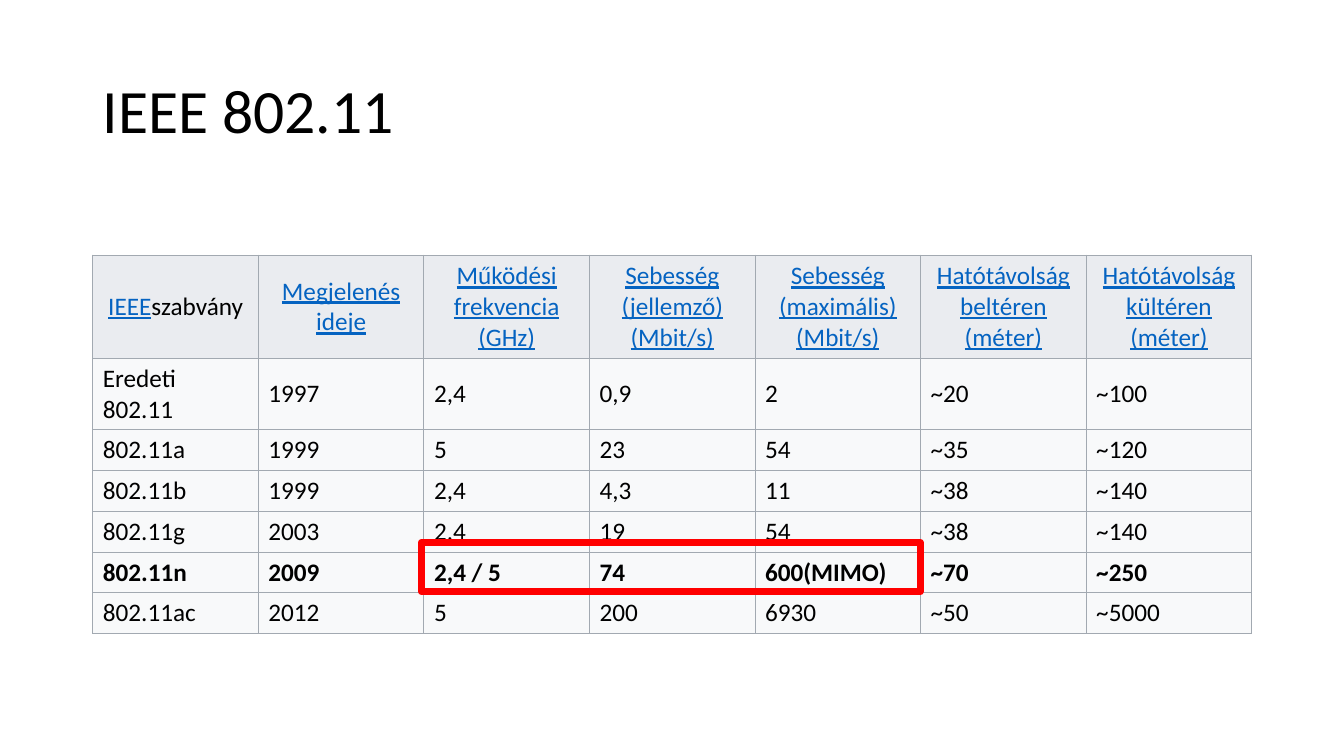
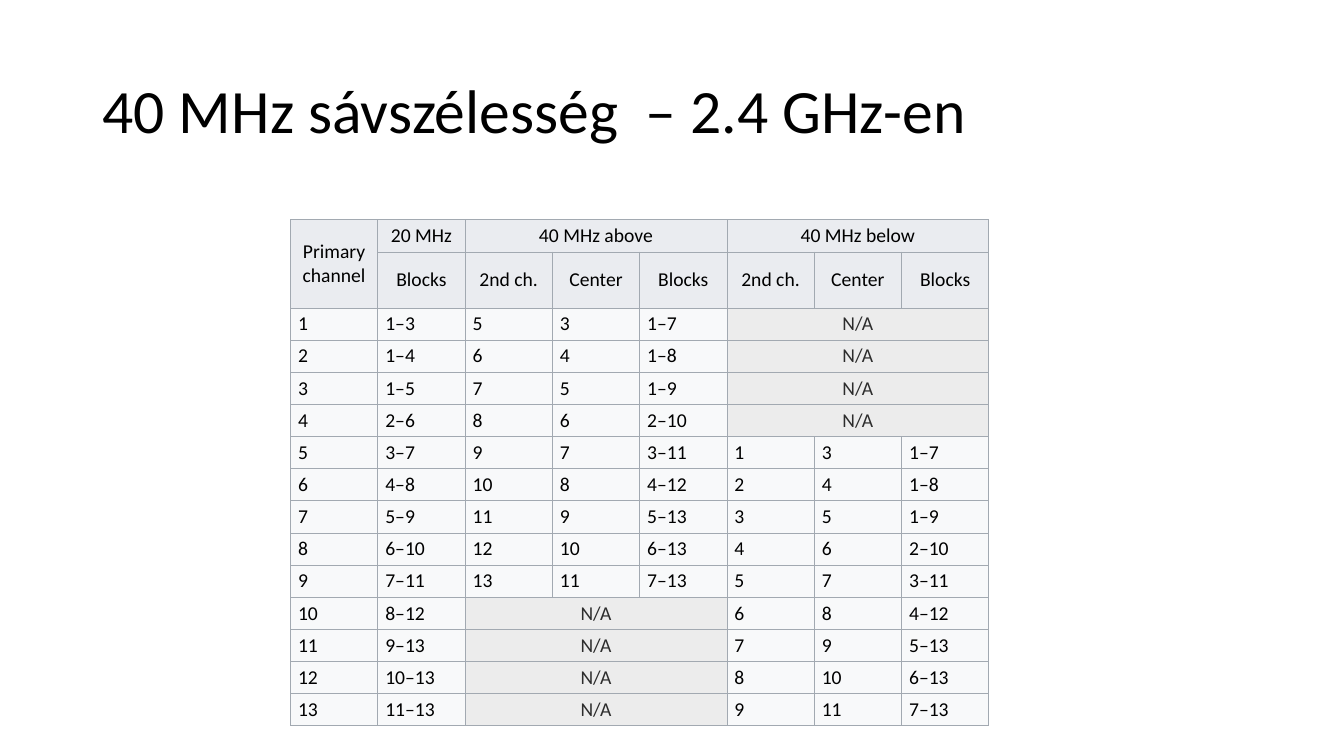
from lxml.etree import SubElement
from pptx import Presentation
from pptx.dml.color import RGBColor
from pptx.enum.shapes import MSO_SHAPE as Shape
from pptx.enum.text import MSO_ANCHOR as Anchor, PP_ALIGN as Align
from pptx.oxml.ns import qn
from pptx.util import Cm, Pt

# Shared look
rgb = RGBColor.from_string
FONT = "Calibri"
BLACK, LINK, MUTED, RED = "000000", "0563C1", "2C2C2C", "FF0000"
HEADER_FILL, BODY_FILL, EMPTY_FILL, BORDER = "EAECF0", "F8F9FA", "ECECEC", "A2A9B1"


def add_run(paragraph, text, size, color=BLACK, bold=False, underline=False):
    run = paragraph.add_run()
    run.text = text
    font = run.font
    font.name, font.size, font.bold, font.underline = FONT, Pt(size), bold, underline
    font.color.rgb = rgb(color)


def style_cell(cell, fill, centered=False):
    properties = cell._tc.get_or_add_tcPr()
    for side in ("a:lnL", "a:lnR", "a:lnT", "a:lnB"):
        line = SubElement(properties, qn(side), w=str(Pt(0.75)))
        SubElement(SubElement(line, qn("a:solidFill")), qn("a:srgbClr"), val=BORDER)
    cell.fill.solid()
    cell.fill.fore_color.rgb = rgb(fill)
    cell.vertical_anchor = Anchor.MIDDLE
    paragraph = cell.text_frame.paragraphs[0]
    paragraph.alignment = Align.CENTER if centered else Align.LEFT
    return paragraph


# Standards: name, year, frequency, typical and maximum speed, indoor and outdoor range
standard_headings = [
    "IEEE", "Megjelenés ideje", "Működési frekvencia (GHz)",
    "Sebesség (jellemző) (Mbit/s)", "Sebesség (maximális) (Mbit/s)",
    "Hatótávolság beltéren (méter)", "Hatótávolság kültéren (méter)",
]
standards = [
    ["Eredeti 802.11", "1997", "2,4", "0,9", "2", "~20", "~100"],
    ["802.11a", "1999", "5", "23", "54", "~35", "~120"],
    ["802.11b", "1999", "2,4", "4,3", "11", "~38", "~140"],
    ["802.11g", "2003", "2,4", "19", "54", "~38", "~140"],
    ["802.11n", "2009", "2,4 / 5", "74", "600(MIMO)", "~70", "~250"],
    ["802.11ac", "2012", "5", "200", "6930", "~50", "~5000"],
]

# Channels: None marks a cell covered by a merged neighbour
LAST_CHANNEL = 13
channel_headings = [
    ["Primary\nchannel", "20 MHz", "40 MHz above", None, None, "40 MHz below", None, None],
    [None, "Blocks"] + ["2nd ch.", "Center", "Blocks"] * 2,
]
channels = []
for primary in range(1, LAST_CHANNEL + 1):
    row = [str(primary), f"{max(1, primary - 2)}–{min(LAST_CHANNEL, primary + 2)}"]
    for step in (2, -2):
        center, second = primary + step, primary + 2 * step
        if 1 <= second <= LAST_CHANNEL:
            blocks = f"{max(1, center - 4)}–{min(LAST_CHANNEL, center + 4)}"
            row += [str(second), str(center), blocks]
        else:
            row += ["N/A", None, None]
    channels.append(row)

# Slides with their titles and empty tables
deck = Presentation()
deck.slide_width, deck.slide_height = Cm(33.87), Cm(19.05)
pages = []
for title, left, top, width, columns, heights in (
    ("IEEE 802.11", 2.34, 6.43, 29.21, 7, [2.6, 1.79] + [1.03] * 5),
    ("40 MHz sávszélesség  – 2.4 GHz-en", 7.32, 5.54, 17.6, 8,
     [0.81, 1.41] + [0.81] * LAST_CHANNEL),
):
    slide = deck.slides.add_slide(deck.slide_layouts[6])
    heading = slide.shapes.add_textbox(Cm(2.34), Cm(1.02), Cm(29.21), Cm(3.68)).text_frame
    heading.word_wrap = True
    heading.vertical_anchor = Anchor.MIDDLE
    heading.paragraphs[0].line_spacing = 0.9
    add_run(heading.paragraphs[0], title, 44)
    table = slide.shapes.add_table(
        len(heights), columns, Cm(left), Cm(top), Cm(width), Cm(sum(heights))).table
    table.first_row = table.horz_banding = False
    for table_row, height in zip(table.rows, heights):
        table_row.height = Cm(height)
    pages.append((slide, table))
(standards_slide, standards_table), (_, channels_table) = pages

# Standards table
for column, text in enumerate(standard_headings):
    paragraph = style_cell(standards_table.cell(0, column), HEADER_FILL, centered=True)
    add_run(paragraph, text, 18, LINK, underline=True)
    if column == 0:
        add_run(paragraph, "szabvány", 18)
for row_index, row in enumerate(standards, 1):
    for column, text in enumerate(row):
        paragraph = style_cell(standards_table.cell(row_index, column), BODY_FILL)
        add_run(paragraph, text, 18, bold=row[0] == "802.11n")

# Frame around the 802.11n frequency and speeds
highlight = standards_slide.shapes.add_shape(
    Shape.RECTANGLE, Cm(10.62), Cm(13.67), Cm(12.57), Cm(1.24))
highlight.shadow.inherit = False
highlight.fill.background()
highlight.line.color.rgb = rgb(RED)
highlight.line.width = Pt(5)

# Channel table
for row_index, row in enumerate(channel_headings + channels):
    is_header = row_index < len(channel_headings)
    for column, text in enumerate(row):
        cell = channels_table.cell(row_index, column)
        cell.margin_left = cell.margin_right = Cm(0.19)
        cell.margin_top = cell.margin_bottom = Cm(0.1)
        is_empty = text == "N/A"
        fill = HEADER_FILL if is_header else EMPTY_FILL if is_empty else BODY_FILL
        paragraph = style_cell(cell, fill, centered=is_header or is_empty)
        if text is None:
            continue
        for line_index, line_text in enumerate(text.split("\n")):
            if line_index:
                paragraph.add_line_break()
            add_run(paragraph, line_text, 14, MUTED if is_empty else BLACK)
        if column in (2, 5) and row[column + 1] is None:
            cell.merge(channels_table.cell(row_index, column + 2))
channels_table.cell(0, 0).merge(channels_table.cell(1, 0))

deck.save("out.pptx")
